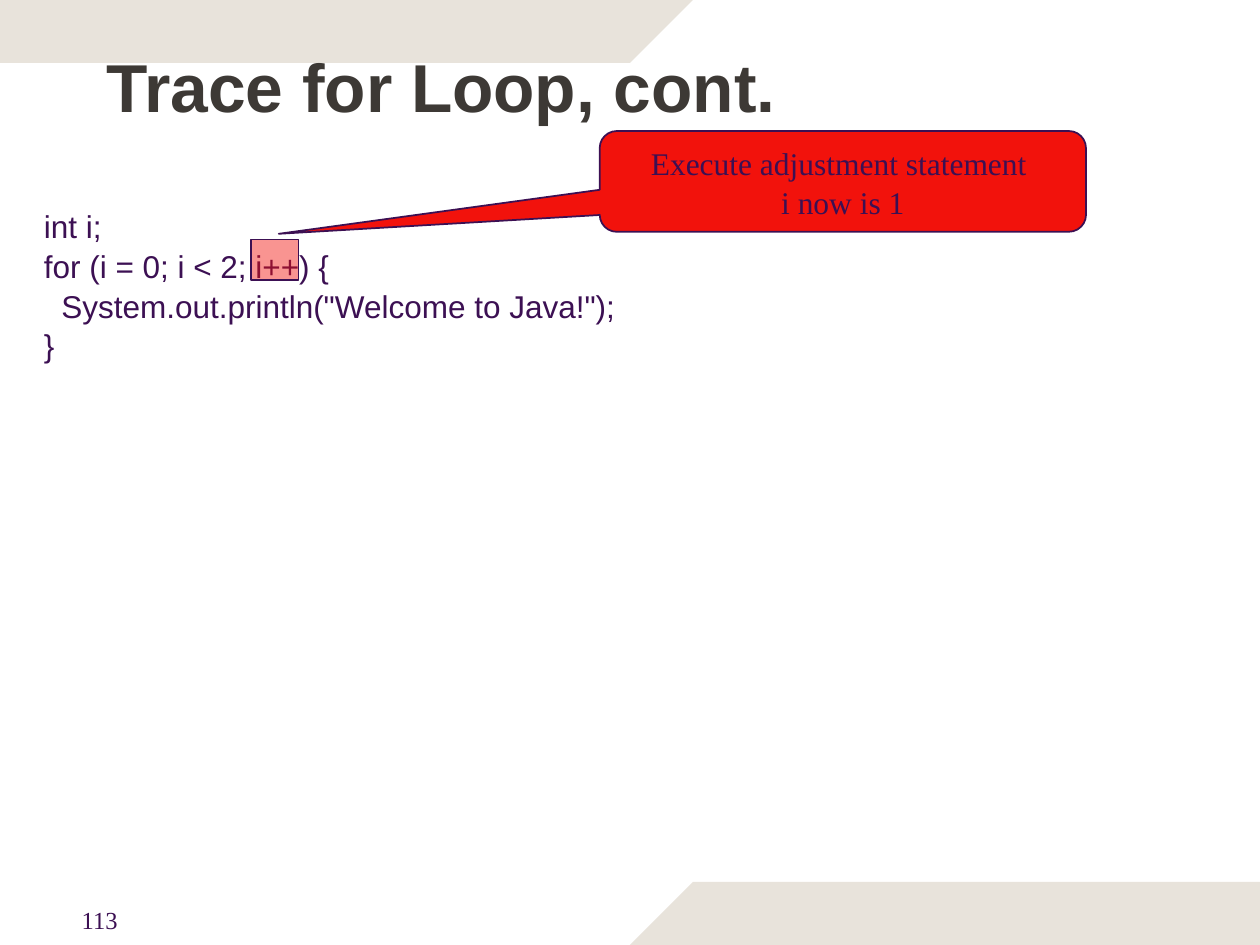
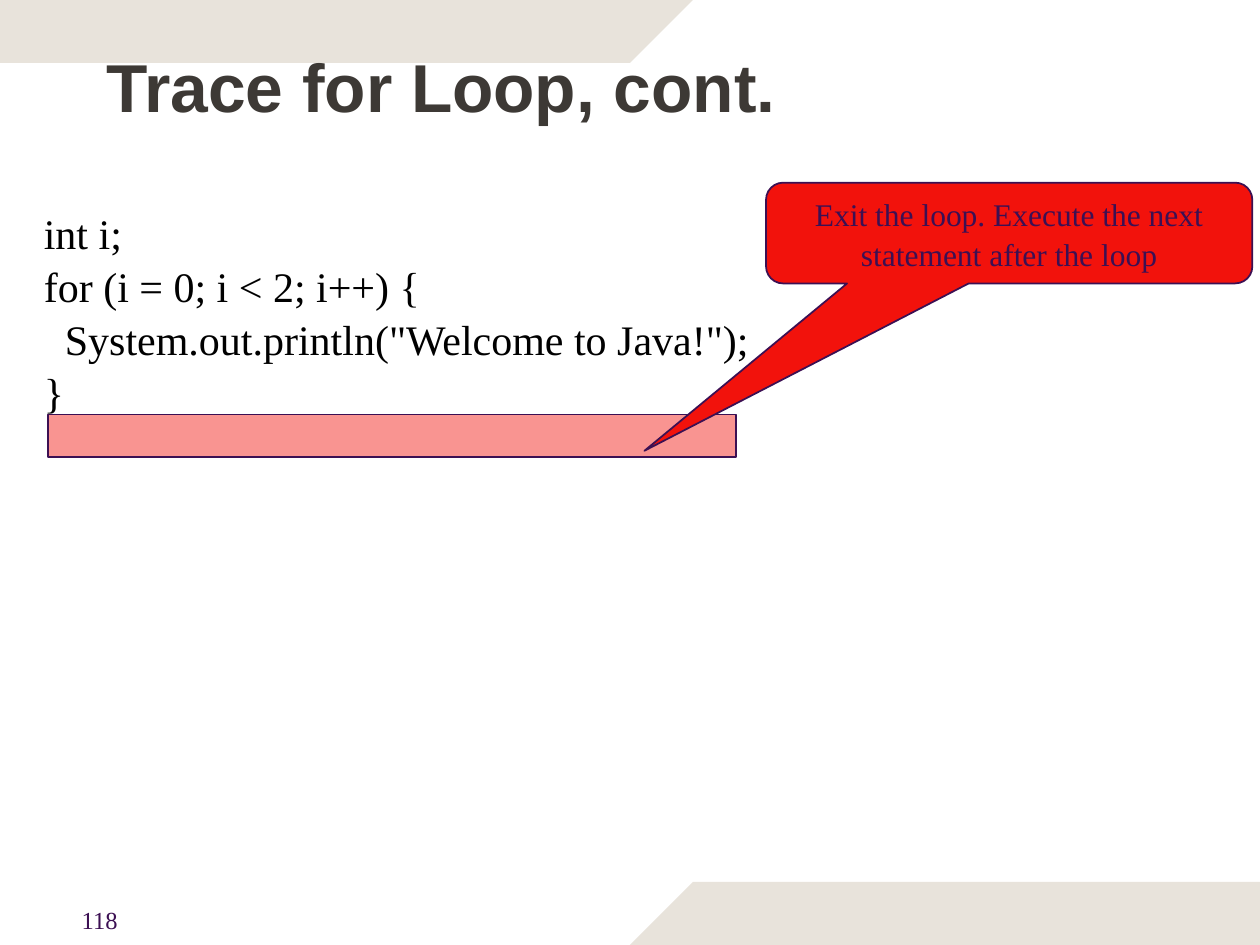
from lxml import etree
from pptx import Presentation
from pptx.dml.color import RGBColor
from pptx.enum.shapes import MSO_SHAPE as Shape
from pptx.enum.text import MSO_ANCHOR as Anchor, PP_ALIGN as Align
from pptx.oxml.ns import qn
from pptx.util import Inches, Pt

COLORS = {
    "band": "E8E3DB",
    "title": "3D3935",
    "ink": "3C1053",
    "black": "000000",
    "accent": "F2120C",
}
SANS, SERIF = "Arial", "Times New Roman"
LINE_SPACING = 1.05

TOP_BAND = [(0, 0), (5.5, 0), (5, 0.5), (0, 0.5)]
BOTTOM_BAND = [(10, 7.5), (5, 7.5), (5.5, 7), (10, 7)]

LOOP_CODE = [
    "int i;",
    "for (i = 0; i < 2; i++) {",
    '  System.out.println("Welcome to Java!");',
    "}",
]


def color(name):
    return RGBColor.from_string(COLORS[name])


class TraceDeck:
    def __init__(self):
        self.deck = Presentation()
        self.deck.slide_width = Inches(10)
        self.deck.slide_height = Inches(7.5)
        self.page = None

    def add_page(self, title, number):
        """Start a slide with the shared bands, page number and title."""
        self.page = self.deck.slides.add_slide(self.deck.slide_layouts[6])
        self.band(TOP_BAND)
        self.band(BOTTOM_BAND)
        self.text((0.55, 7.12, 0.49, 0.27), [number], 14, SERIF, "ink", wrap=False)
        self.text((0.75, 0.25, 8.5, 0.83), [title], 38.7, SANS, "title",
                  bold=True, anchor=Anchor.MIDDLE)

    def band(self, points):
        start, *rest = [(Inches(x), Inches(y)) for x, y in points]
        builder = self.page.shapes.build_freeform(*start)
        builder.add_line_segments(rest, close=True)
        shape = builder.convert_to_shape()
        shape.shadow.inherit = False
        shape.fill.solid()
        shape.fill.fore_color.rgb = color("band")
        shape.line.fill.background()

    def fill_frame(self, frame, lines, size, font, ink, bold=False, align=Align.LEFT):
        for index, line in enumerate(lines):
            para = frame.add_paragraph() if index else frame.paragraphs[0]
            para.text = line
            para.alignment = align
            para.line_spacing = LINE_SPACING
            para.font.size = Pt(size)
            para.font.name = font
            para.font.bold = bold
            para.font.color.rgb = color(ink)

    def text(self, area, lines, size, font, ink, bold=False,
             anchor=Anchor.TOP, wrap=True):
        box = self.page.shapes.add_textbox(*map(Inches, area))
        frame = box.text_frame
        frame.word_wrap = wrap
        frame.vertical_anchor = anchor
        self.fill_frame(frame, lines, size, font, ink, bold)

    def code(self, height, size, font, ink):
        self.text((0.25, 1.58, 5.83, height), LOOP_CODE, size, font, ink)

    def accent_shape(self, kind, area):
        """Add a red shape with a thin dark outline."""
        shape = self.page.shapes.add_shape(kind, *map(Inches, area))
        shape.shadow.inherit = False
        shape.fill.solid()
        shape.fill.fore_color.rgb = color("accent")
        shape.line.color.rgb = color("ink")
        shape.line.width = Pt(1)
        return shape

    def highlight(self, area, opacity=45):
        """Mark a piece of code with a see-through rectangle."""
        shape = self.accent_shape(Shape.RECTANGLE, area)
        fill_color = shape.element.spPr.find(qn("a:solidFill"))[0]
        etree.SubElement(fill_color, qn("a:alpha"), val=str(opacity * 1000))

    def callout(self, left, top, tip, lines):
        """Add a callout; tip is its pointer's offset as a share of its size."""
        shape = self.accent_shape(Shape.ROUNDED_RECTANGULAR_CALLOUT,
                                  (left, top, 3.86, 0.8))
        for index, value in enumerate((*tip, 0.17)):
            shape.adjustments[index] = value
        shape.text_frame.word_wrap = True
        self.fill_frame(shape.text_frame, lines, 18, SERIF, "ink", align=Align.CENTER)


def main():
    trace = TraceDeck()
    title = "Trace for Loop, cont."

    trace.add_page(title, "113")
    trace.code(1.72, 18, SANS, "ink")
    trace.highlight((1.99, 1.9, 0.38, 0.32))
    trace.callout(4.76, 1.04, (-1.16, 0.52),
                  ["Execute adjustment statement ", "i now is 1"])

    trace.add_page(title, "118")
    trace.code(2.12, 24, SERIF, "black")
    trace.highlight((0.38, 3.29, 5.46, 0.34))
    trace.callout(6.08, 1.45, (-0.75, 2.16),
                  ["Exit the loop. Execute the next statement after the loop"])

    trace.deck.save("out.pptx")


if __name__ == "__main__":
    main()
